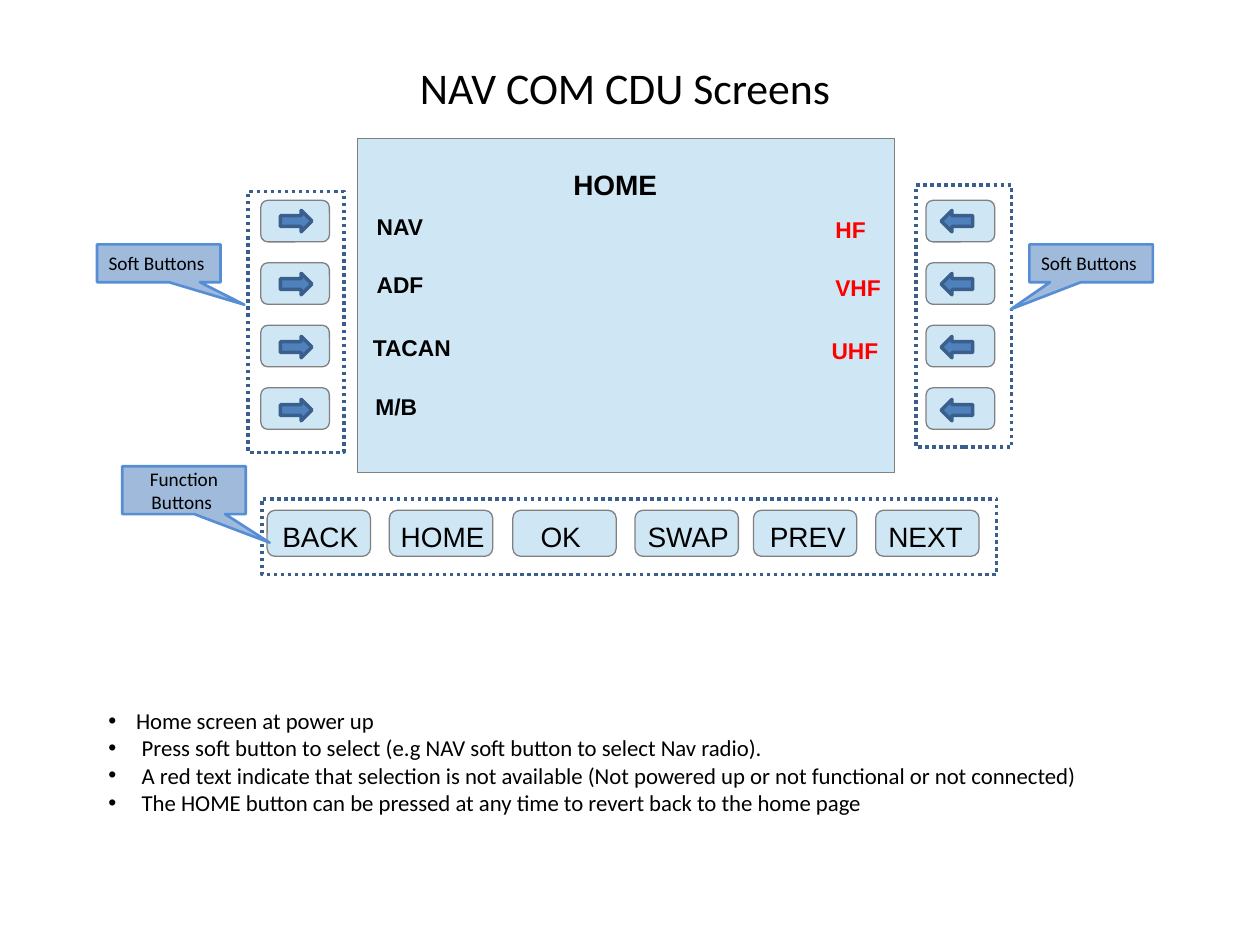
from pptx import Presentation
from pptx.dml.color import RGBColor
from pptx.enum.dml import MSO_LINE
from pptx.enum.shapes import MSO_SHAPE
from pptx.enum.text import MSO_ANCHOR, PP_ALIGN
from pptx.oxml.ns import qn
from pptx.util import Inches, Pt
from lxml import etree

RECT, ROUNDED = MSO_SHAPE.RECTANGLE, MSO_SHAPE.ROUNDED_RECTANGLE
CALLOUT = MSO_SHAPE.RECTANGULAR_CALLOUT
RIGHT_ARROW, LEFT_ARROW = MSO_SHAPE.RIGHT_ARROW, MSO_SHAPE.LEFT_ARROW
DOTTED = MSO_LINE.ROUND_DOT
TOP, MIDDLE = MSO_ANCHOR.TOP, MSO_ANCHOR.MIDDLE
LEFT, CENTER = PP_ALIGN.LEFT, PP_ALIGN.CENTER

THEME = {
    "panel": "CFE7F5", "panel_edge": "808080",
    "accent": "4F81BD", "accent_edge": "3A5F8C", "callout_edge": "558ED5",
    "ink": "000000", "unavailable": "FF0000",
    "display_font": "Arial", "note_font": "Calibri",
    "title_size": 25, "key_size": 16, "label_size": 13, "callout_size": 11,
}

# The slide is a grid of 100 columns by 75 rows.
COLUMNS, ROWS = 100, 75
prs = Presentation()
prs.slide_width, prs.slide_height = Inches(10), Inches(7.5)
COL, ROW = prs.slide_width / COLUMNS, prs.slide_height / ROWS
slide = prs.slides.add_slide(prs.slide_layouts[6])


def draw(preset, x, y, w, h, fill, edge, weight):
    """Add a preset shape at grid position x, y; fill None leaves it hollow."""
    shape = slide.shapes.add_shape(
        preset, int(x * COL), int(y * ROW), int(w * COL), int(h * ROW))
    shape.shadow.inherit = False
    if fill:
        shape.fill.solid()
        shape.fill.fore_color.rgb = RGBColor.from_string(THEME[fill])
    else:
        shape.fill.background()
    shape.line.color.rgb = RGBColor.from_string(THEME[edge])
    shape.line.width = Pt(weight)
    return shape


def write(lines, size, font, color="ink", bold=False, align=LEFT, anchor=TOP,
          wrap=False, box=None, holder=None):
    """Write lines into holder, or into a new text box at grid position box."""
    if holder is None:
        x, y, w, h = box
        holder = slide.shapes.add_textbox(
            int(x * COL), int(y * ROW), int(w * COL), int(h * ROW))
    frame = holder.text_frame
    frame.word_wrap = wrap
    frame.vertical_anchor = anchor
    frame.margin_left = frame.margin_right = Inches(0.09)
    frame.margin_top = frame.margin_bottom = Inches(0.04)
    for index, line in enumerate(lines):
        paragraph = frame.paragraphs[0] if index == 0 else frame.add_paragraph()
        paragraph.alignment = align
        run = paragraph.add_run()
        run.text = line
        run.font.name = THEME[font]
        run.font.size = Pt(THEME[size])
        run.font.bold = bold
        run.font.color.rgb = RGBColor.from_string(THEME[color])
    return frame


write(["NAV COM CDU Screens"], "title_size", "note_font", align=CENTER,
      wrap=True, box=(4.6, 4.4, 90, 9.4))

# Display screen
draw(RECT, 28.4, 11, 42.6, 26.5, "panel", "panel_edge", 0)
write(["HOME"], "key_size", "display_font", bold=True, box=(44.6, 12.9, 10, 3.5))
options = [
    ("NAV", 29, 16.5, "ink"), ("ADF", 29, 21.1, "ink"),
    ("TACAN", 28.7, 26.1, "ink"), ("M/B", 28.9, 30.8, "ink"),
    ("HF", 65.4, 16.7, "unavailable"), ("VHF", 65.4, 21.3, "unavailable"),
    ("UHF", 65.1, 26.3, "unavailable"),
]
for option, x, y, color in options:
    write([option], "label_size", "display_font", color, bold=True,
          box=(x, y, 9, 3))

# Soft buttons on both sides of the screen
FIRST_BUTTON, BUTTON_PITCH = 15.9, 4.96
sides = [(20.7, RIGHT_ARROW, 22.25), (73.5, LEFT_ARROW, 74.7)]
for button_x, arrow, arrow_x in sides:
    for level in range(4):
        y = FIRST_BUTTON + level * BUTTON_PITCH
        button = draw(ROUNDED, button_x, y, 5.45, 3.3, "panel", "panel_edge", 0)
        button.adjustments[0] = 0.17
        draw(arrow, arrow_x, 16.7 + level * 5, 2.5, 1.7,
             "accent", "accent_edge", 2)

# Function buttons under the screen
function_keys = [
    ("BACK", 21.2, 21.5), ("HOME", 30.9, 30.9), ("OK", 40.7, 42),
    ("SWAP", 50.4, 50.5), ("PREV", 59.8, 60.2), ("NEXT", 69.5, 69.6),
]
for key, x, text_x in function_keys:
    button = draw(ROUNDED, x, 40.5, 8.2, 3.65, "panel", "panel_edge", 0)
    button.adjustments[0] = 0.17
    write([key], "key_size", "display_font", box=(text_x, 40.85, 9.5, 3.5))

# Dotted outlines around the button groups
groups = [(19.7, 15.2, 7.6, 20.7), (72.7, 14.7, 7.6, 20.8), (20.8, 39.6, 58.3, 6)]
for group in groups:
    outline = draw(RECT, *group, None, "accent_edge", 2)
    outline.line.dash_style = DOTTED

# Callouts
callouts = [
    ("Soft Buttons ", 7.7, 19.4, 3, (0.694, 1.097)),
    ("Function Buttons ", 9.7, 37, 3.8, (0.694, 1.097)),
    ("Soft Buttons ", 81.7, 19.4, 3, (-0.651, 1.216)),
]
for caption, x, y, height, tip in callouts:
    callout = draw(CALLOUT, x, y, 9.8, height, "accent", "callout_edge", 1.5)
    callout.adjustments[0], callout.adjustments[1] = tip
    tint = callout.fill._xPr.find(qn("a:solidFill"))[0]
    etree.SubElement(tint, qn("a:alpha"), val="54000")
    write([caption], "callout_size", "note_font", align=CENTER, anchor=MIDDLE,
          wrap=True, holder=callout)

# Notes on use
notes = write([
    "Home screen at power up",
    "Press soft button to select (e.g NAV soft button to select Nav radio).",
    "A red text indicate that selection is not available "
    "(Not powered up or not functional or not connected)",
    "The HOME button can be pressed at any time to revert back to the home page",
], "label_size", "note_font", box=(7.7, 55.7, 80, 14))
for index, note in enumerate(notes.paragraphs):
    indent = int((2.2 if index == 0 else 2.65) * COL)
    properties = note._p.get_or_add_pPr()
    properties.set("marL", str(indent))
    properties.set("indent", str(-indent))
    etree.SubElement(properties, qn("a:buFont"), typeface=THEME["display_font"])
    etree.SubElement(properties, qn("a:buChar"), char="•")

prs.save("out.pptx")
